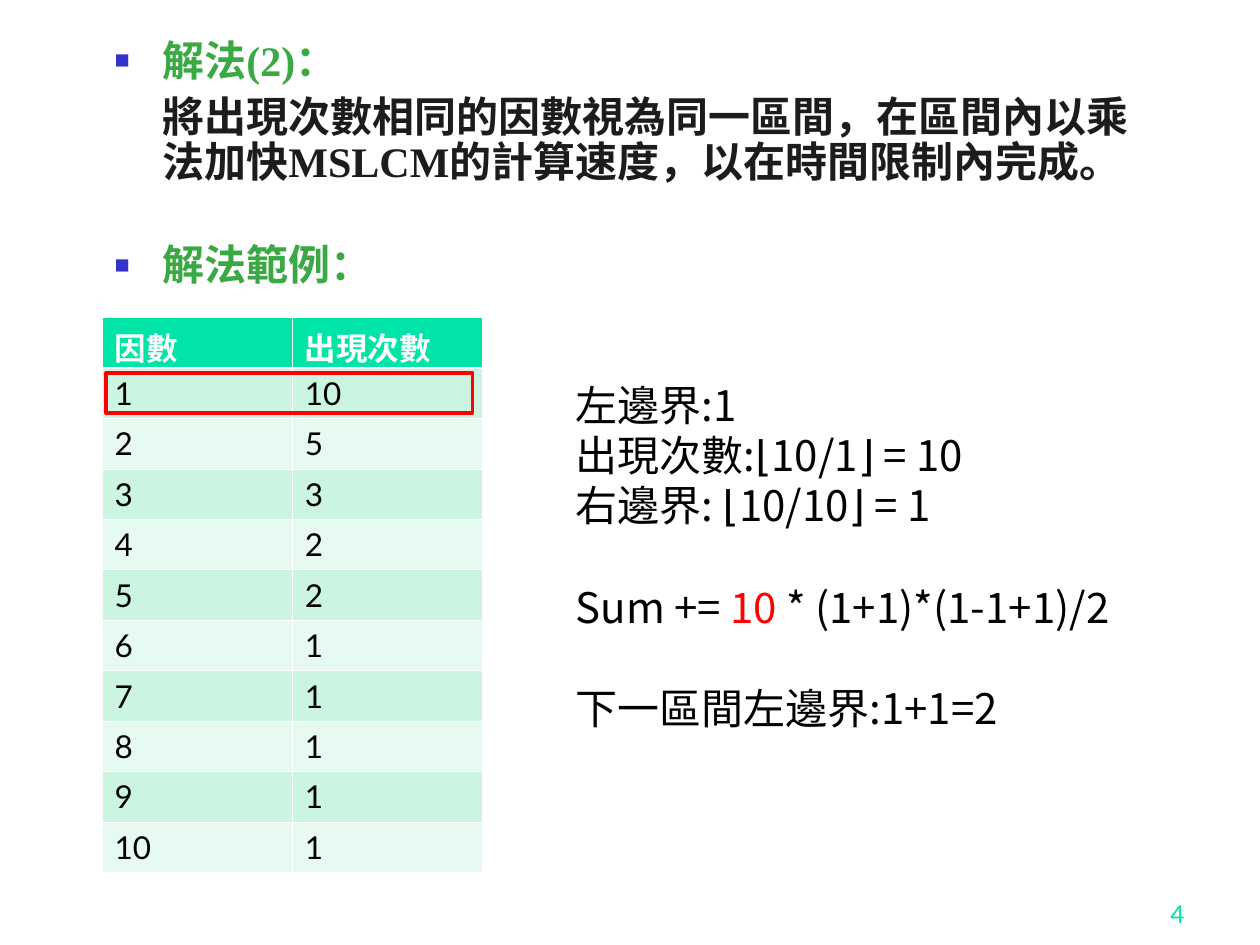
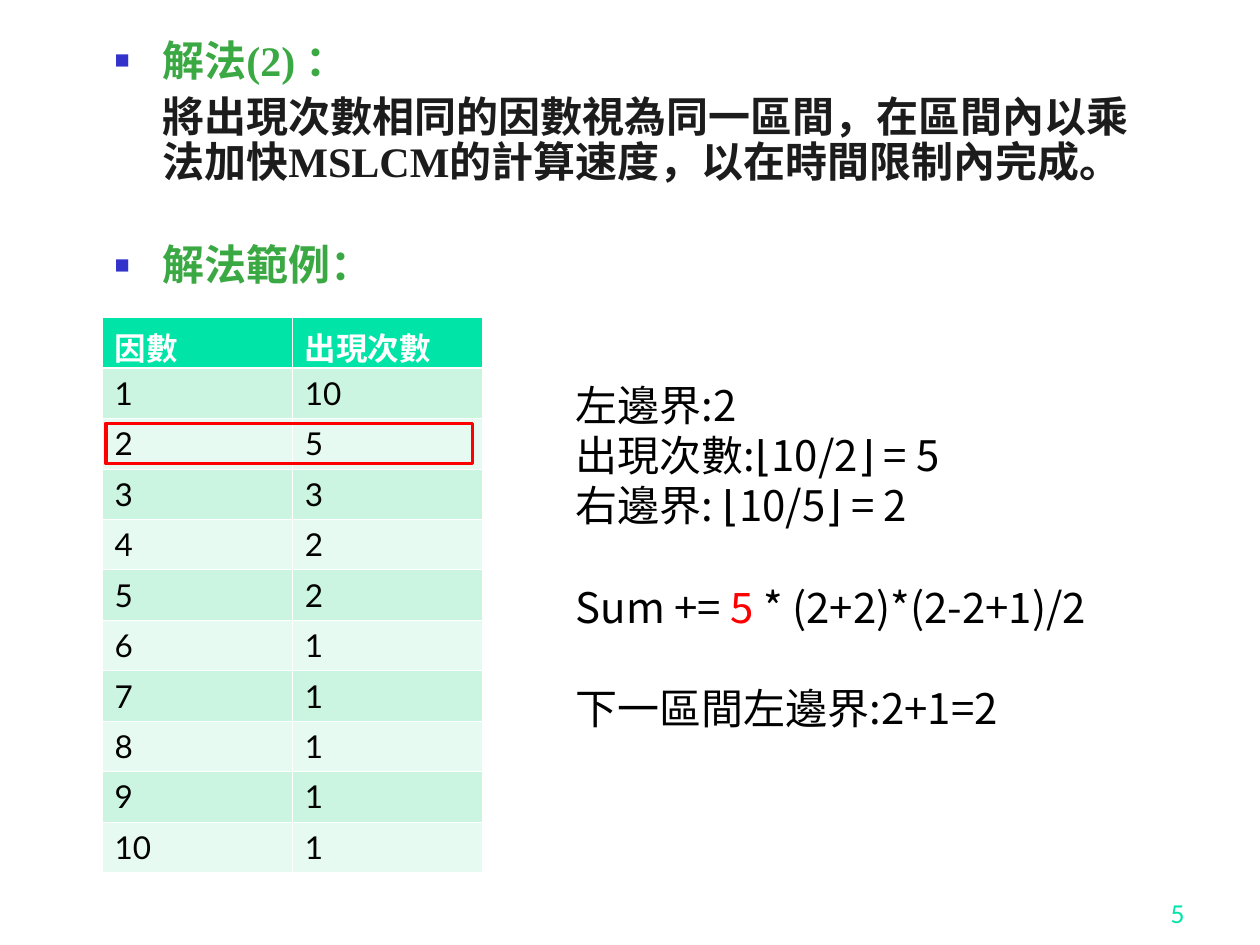
from lxml import etree
from pptx import Presentation
from pptx.dml.color import RGBColor
from pptx.enum.shapes import MSO_SHAPE
from pptx.enum.text import MSO_ANCHOR, PP_ALIGN
from pptx.oxml.ns import qn
from pptx.util import Inches, Pt

COLORS = {
    "heading": "3BA943", "body": "1C1C1C", "bullet": "3333CC",
    "accent": "00E4A8", "odd": "CBF5E1", "even": "E7FAF1",
    "white": "FFFFFF", "black": "000000", "red": "FF0000",
}

IDEA = "將出現次數相同的因數視為同一區間，在區間內以乘法加快MSLCM的計算速度，以在時間限制內完成。"
EXAMPLE = "解法範例："
TABLE = [
    ("因數", "出現次數"),
    ("1", "10"), ("2", "5"), ("3", "3"), ("4", "2"), ("5", "2"),
    ("6", "1"), ("7", "1"), ("8", "1"), ("9", "1"), ("10", "1"),
]
SLIDES = [
    {
        "number": "4", "heading": "解法(2)：", "row": 1, "steps_width": 5.26,
        "bounds": ["左邊界:1", "出現次數:⌊10/1⌋ = 10", "右邊界: ⌊10/10⌋ = 1"],
        "sum": ("Sum += ", "10", " * (1+1)*(1-1+1)/2"),
        "next": "下一區間左邊界:1+1=2",
    },
    {
        "number": "5", "heading": "解法(2) ：", "row": 2, "steps_width": 5.18,
        "bounds": ["左邊界:2", "出現次數:⌊10/2⌋ = 5", "右邊界: ⌊10/5⌋ = 2"],
        "sum": ("Sum += ", "5", " * (2+2)*(2-2+1)/2"),
        "next": "下一區間左邊界:2+1=2",
    },
]

TABLE_LEFT, TABLE_TOP = 0.81, 2.52
COL_WIDTH, ROW_HEIGHT = 1.51, 0.4
THIN, THICK = 0.45, 1.47
SECTION_GAP, LINE_GAP, STEP_GAP = 33, 6, 29

BODY = {"size": Pt(24), "name": "Times New Roman", "bold": True}
STEP = {"size": Pt(24), "name": "Noto Sans CJK SC"}
CELL = {"size": Pt(18), "name": "Lato"}
NUMBER = {"size": Pt(14), "name": "Lato"}


def rgb(color):
    return RGBColor.from_string(COLORS[color])


def add_run(p, text, style, color):
    r = p.add_run()
    r.text = text
    for key, value in style.items():
        setattr(r.font, key, value)
    r.font.color.rgb = rgb(color)


def add_text_box(s, left, top, width, height, inset=(0.1, 0.05)):
    tf = s.shapes.add_textbox(*map(Inches, (left, top, width, height))).text_frame
    tf.word_wrap = True
    tf.margin_left = tf.margin_right = Inches(inset[0])
    tf.margin_top = tf.margin_bottom = Inches(inset[1])
    return tf


def next_paragraph(tf, gap=0):
    """Return the empty first paragraph, or a new one below the gap in points."""
    if not tf.paragraphs[0].runs:
        return tf.paragraphs[0]
    p = tf.add_paragraph()
    p.space_before = Pt(gap)
    return p


def add_bullet(pPr):
    color = etree.SubElement(pPr, qn("a:buClr"))
    etree.SubElement(color, qn("a:srgbClr"), val=COLORS["bullet"])
    etree.SubElement(pPr, qn("a:buSzPct"), val="60000")
    etree.SubElement(pPr, qn("a:buFont"), typeface="Times New Roman")
    etree.SubElement(pPr, qn("a:buChar"), char="■")


def add_explanation(s, heading):
    tf = add_text_box(s, 0.83, 0.28, 8.5, 6.77, inset=(0.08, 0.04))
    for text, color, gap in [(heading, "heading", 0), (IDEA, "body", LINE_GAP),
                             (EXAMPLE, "heading", SECTION_GAP)]:
        p = next_paragraph(tf, gap)
        p.line_spacing = 0.9
        pPr = p._p.get_or_add_pPr()
        pPr.set("marL", str(Inches(0.38)))
        if color == "heading":
            pPr.set("indent", str(-Inches(0.38)))
            add_bullet(pPr)
        add_run(p, text, BODY, color)


def add_borders(cell, top, bottom):
    tcPr = cell._tc.get_or_add_tcPr()
    for side, width in {"L": THIN, "R": THIN, "T": top, "B": bottom}.items():
        ln = etree.SubElement(tcPr, qn(f"a:ln{side}"), w=str(Pt(width)))
        fill = etree.SubElement(ln, qn("a:solidFill"))
        etree.SubElement(fill, qn("a:srgbClr"), val=COLORS["white"])


def add_count_table(s):
    n_rows, n_cols = len(TABLE), len(TABLE[0])
    table = s.shapes.add_table(
        n_rows, n_cols, Inches(TABLE_LEFT), Inches(TABLE_TOP),
        Inches(n_cols * COL_WIDTH), Inches(n_rows * ROW_HEIGHT)).table
    for column in table.columns:
        column.width = Inches(COL_WIDTH)
    for i, values in enumerate(TABLE):
        table.rows[i].height = Inches(ROW_HEIGHT)
        header = i == 0
        for j, text in enumerate(values):
            cell = table.cell(i, j)
            add_borders(cell, THICK if i == 1 else THIN, THICK if header else THIN)
            cell.fill.solid()
            cell.fill.fore_color.rgb = rgb("accent" if header else ("even", "odd")[i % 2])
            add_run(cell.text_frame.paragraphs[0], text,
                    CELL | {"bold": header}, "white" if header else "black")


def add_row_marker(s, row):
    box = (TABLE_LEFT + 0.03, TABLE_TOP + row * ROW_HEIGHT + 0.04, 2.91, 0.32)
    sp = s.shapes.add_shape(MSO_SHAPE.RECTANGLE, *map(Inches, box))
    sp.shadow.inherit = False
    sp.fill.background()
    sp.line.color.rgb = rgb("red")
    sp.line.width = Pt(2)


def add_steps(s, content):
    tf = add_text_box(s, 4.47, 2.96, content["steps_width"], 3.3)
    for text in content["bounds"]:
        add_run(next_paragraph(tf), text, STEP, "black")
    p = next_paragraph(tf, STEP_GAP)
    for text, color in zip(content["sum"], ("black", "red", "black")):
        add_run(p, text, STEP, color)
    add_run(next_paragraph(tf, STEP_GAP), content["next"], STEP, "black")


def add_slide_number(s, number):
    tf = add_text_box(s, 7.42, 6.92, 2.08, 0.5)
    tf.vertical_anchor = MSO_ANCHOR.BOTTOM
    p = tf.paragraphs[0]
    p.alignment = PP_ALIGN.RIGHT
    add_run(p, number, NUMBER, "accent")


def main():
    prs = Presentation()
    prs.slide_width, prs.slide_height = Inches(10), Inches(7.5)
    blank = prs.slide_layouts.get_by_name("Blank")
    for content in SLIDES:
        s = prs.slides.add_slide(blank)
        add_explanation(s, content["heading"])
        add_slide_number(s, content["number"])
        add_count_table(s)
        add_row_marker(s, content["row"])
        add_steps(s, content)
    prs.save("out.pptx")


if __name__ == "__main__":
    main()
